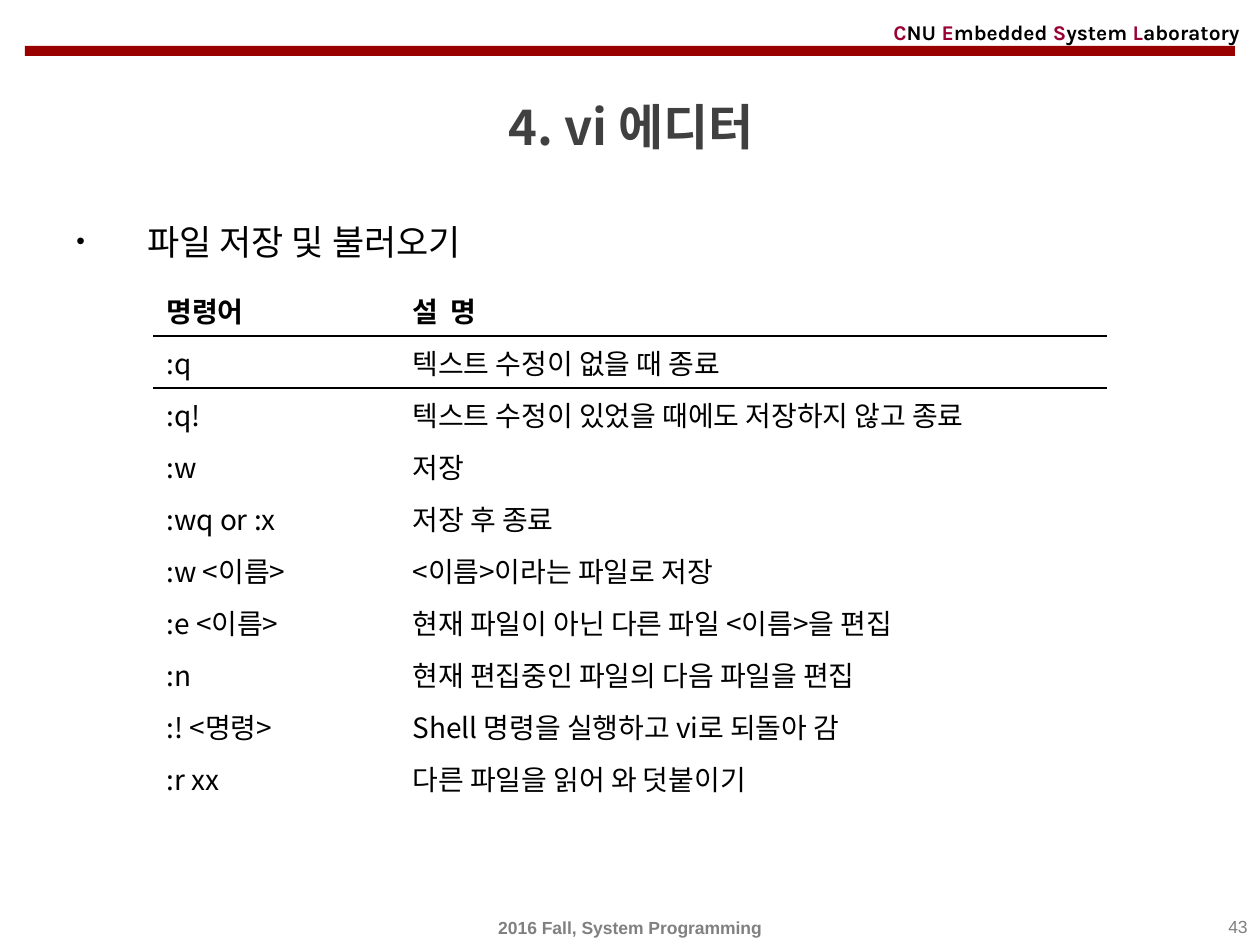
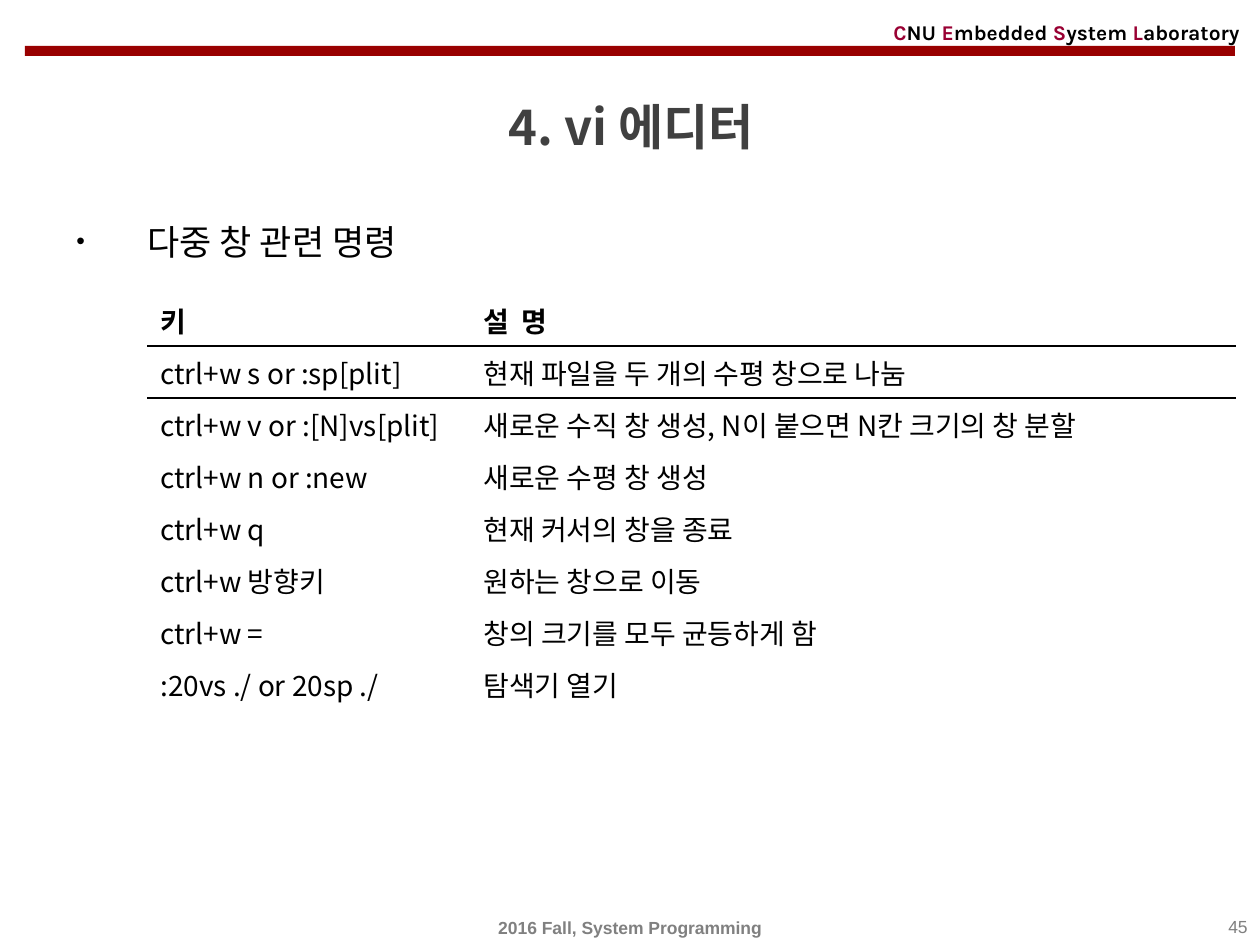
import pptx
import pptx.util
import pptx.dml.color
import pptx.enum.shapes
import pptx.enum.text
import pptx.oxml
import pptx.oxml.ns
from lxml import etree

PX = 914400 / 126
HAN = "Noto Sans CJK KR"
RED, WINE, BLACK, DARK, GREY = "990000", "990033", "000000", "404040", "808080"
ALIGN = pptx.enum.text.PP_ALIGN
MID = pptx.enum.text.MSO_ANCHOR.MIDDLE
TOP = pptx.enum.text.MSO_ANCHOR.TOP
qn = pptx.oxml.ns.qn


def hue(code):
    return pptx.dml.color.RGBColor.from_string(code)


def write(frame, runs, look, align=ALIGN.LEFT, anchor=MID):
    frame.word_wrap = True
    frame.vertical_anchor = anchor
    para = frame.paragraphs[0]
    para.alignment = align
    for words, code in runs:
        run = para.add_run()
        run.text = words
        run.font.color.rgb = hue(code)
        for name, value in look.items():
            setattr(run.font, name, value)
        east = etree.SubElement(run.font._element, qn("a:ea"))
        east.set("typeface", HAN)
    return para


pt = pptx.util.Pt
LAB = {"name": "Karla", "size": pt(12), "bold": True}
TITLE = {"name": HAN, "size": pt(28), "bold": True}
TOPIC = {"name": "Karla", "size": pt(20), "bold": False}
HEAD = {"name": HAN, "size": pt(16), "bold": True}
CELL = {**HEAD, "bold": False}
FOOT = {"name": "Arial", "size": pt(10), "bold": True}
PAGE = {**FOOT, "bold": False}

lab = [("C", WINE), ("NU ", BLACK), ("E", WINE), ("mbedded ", BLACK),
       ("S", WINE), ("ystem ", BLACK), ("L", WINE), ("aboratory", BLACK)]

pages = [
    {"num": "43", "topic": "파일 저장 및 불러오기",
     "left": 154, "top": 284, "cols": (246, 706),
     "rows": [
         ("명령어", "설  명"),
         (":q", "텍스트 수정이 없을 때 종료"),
         (":q!", "텍스트 수정이 있었을 때에도 저장하지 않고 종료"),
         (":w", "저장"),
         (":wq or :x", "저장 후 종료"),
         (":w <이름>", "<이름>이라는 파일로 저장"),
         (":e <이름>", "현재 파일이 아닌 다른 파일 <이름>을 편집"),
         (":n", "현재 편집중인 파일의 다음 파일을 편집"),
         (":! <명령>", "Shell 명령을 실행하고 vi로 되돌아 감"),
         (":r xx", "다른 파일을 읽어 와 덧붙이기")]},
    {"num": "45", "topic": "다중 창 관련 명령",
     "left": 148, "top": 294, "cols": (323, 764),
     "rows": [
         ("키", "설  명"),
         ("ctrl+w s or :sp[plit]", "현재 파일을 두 개의 수평 창으로 나눔"),
         ("ctrl+w v or :[N]vs[plit]", "새로운 수직 창 생성, N이 붙으면 N칸 크기의 창 분할"),
         ("ctrl+w n or :new", "새로운 수평 창 생성"),
         ("ctrl+w q", "현재 커서의 창을 종료"),
         ("ctrl+w 방향키", "원하는 창으로 이동"),
         ("ctrl+w =", "창의 크기를 모두 균등하게 함"),
         (":20vs ./ or 20sp ./", "탐색기 열기")]},
]

deck = pptx.Presentation()
deck.slide_width = round(1260 * PX)
deck.slide_height = round(945 * PX)

for page in pages:
    shapes = deck.slides.add_slide(deck.slide_layouts[6]).shapes

    box = [round(n * PX) for n in (25, 46, 1210, 10)]
    band = shapes.add_shape(pptx.enum.shapes.MSO_SHAPE.RECTANGLE, *box)
    band.shadow.inherit = False
    band.fill.solid()
    band.fill.fore_color.rgb = hue(RED)
    band.line.fill.background()

    texts = [
        ((881, 15, 382, 35), lab, LAB, ALIGN.LEFT, MID),
        ((26, 76, 1210, 100), [("4. vi 에디터", DARK)], TITLE, ALIGN.CENTER, MID),
        ((0, 910, 1260, 35), [("2016 Fall, System Programming", GREY)], FOOT, ALIGN.CENTER, MID),
        ((966, 910, 294, 35), [(page["num"], GREY)], PAGE, ALIGN.RIGHT, TOP),
        ((64, 214, 1142, 665), [(page["topic"], BLACK)], TOPIC, ALIGN.LEFT, TOP),
    ]
    for spot, runs, look, align, anchor in texts:
        frame = shapes.add_textbox(*[round(n * PX) for n in spot]).text_frame
        para = write(frame, runs, look, align, anchor)

    para.space_before = pt(4)
    props = para._p.get_or_add_pPr()
    props.set("marL", str(round(71 * PX)))
    props.set("indent", str(round(-71 * PX)))
    etree.SubElement(props, qn("a:buSzPct")).set("val", "70000")
    etree.SubElement(props, qn("a:buFont")).set("typeface", "Arial")
    etree.SubElement(props, qn("a:buChar")).set("char", "•")

    rows, cols = page["rows"], page["cols"]
    box = [round(n * PX) for n in (page["left"], page["top"], sum(cols), 52 * len(rows))]
    grid = shapes.add_table(len(rows), len(cols), *box).table
    grid.first_row = False
    grid.horz_banding = False
    for col, width in zip(grid.columns, cols):
        col.width = round(width * PX)
    for r, row in enumerate(rows):
        grid.rows[r].height = round(52 * PX)
        for c, words in enumerate(row):
            cell = grid.cell(r, c)
            cell.fill.background()
            write(cell.text_frame, [(words, BLACK)], CELL if r else HEAD)
            cell.vertical_anchor = TOP
            if r < 2:
                side = "a:lnT" if r else "a:lnB"
                edge = etree.Element(qn(side), w=str(pt(1.5)))
                fill = etree.SubElement(edge, qn("a:solidFill"))
                etree.SubElement(fill, qn("a:srgbClr")).set("val", BLACK)
                cell._tc.get_or_add_tcPr().insert(0, edge)

deck.save("out.pptx")
